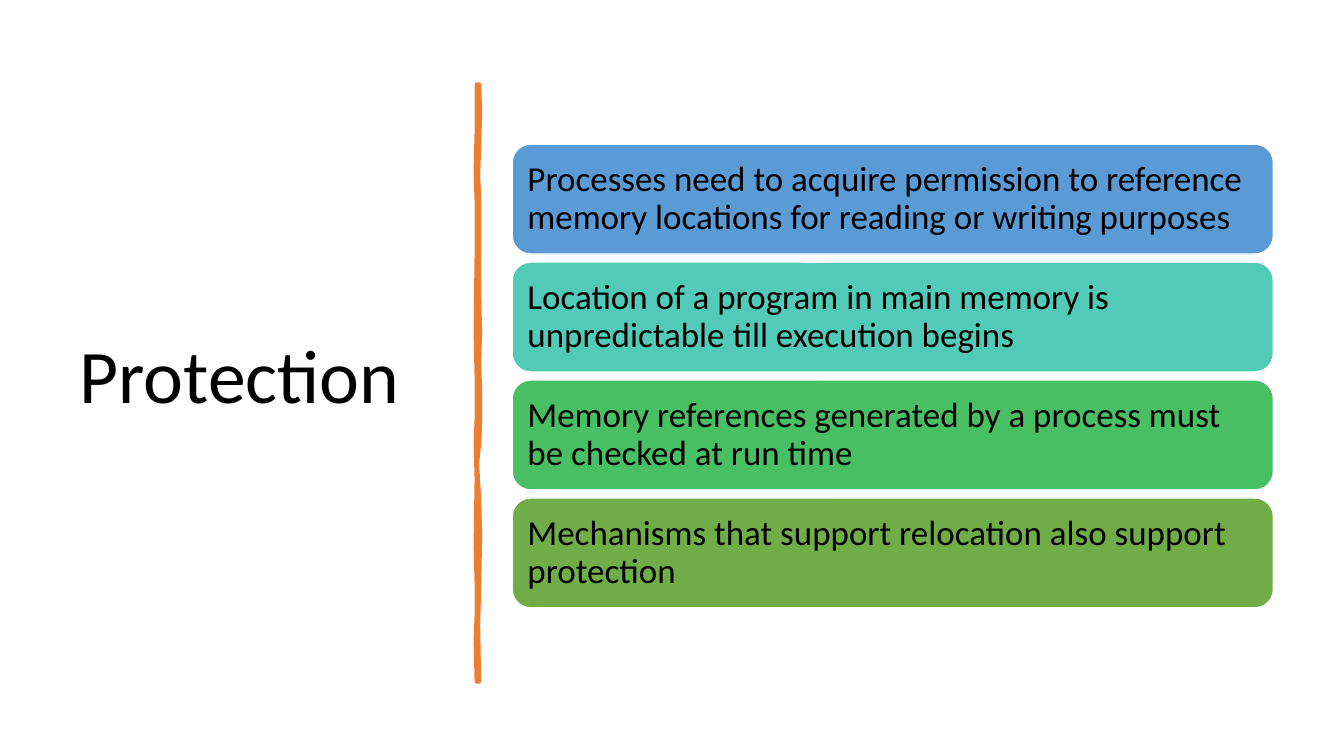
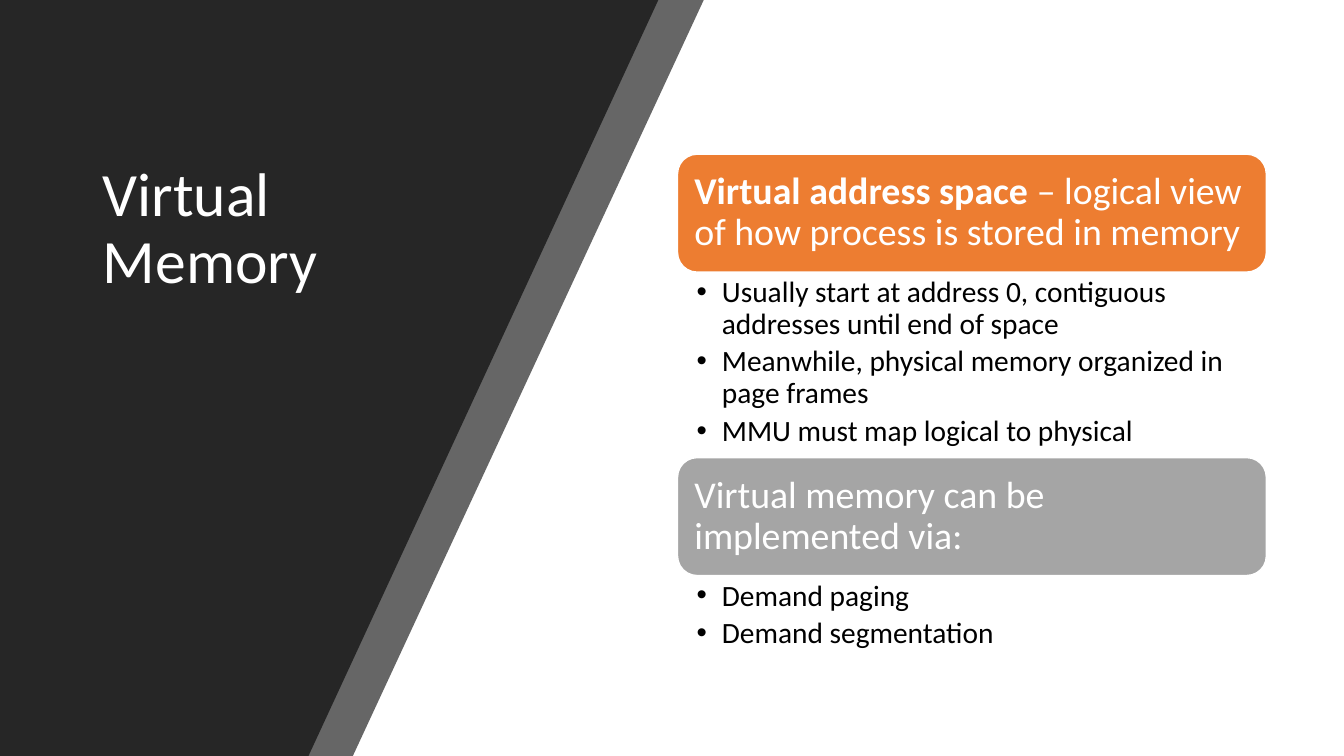
import pptx
import pptx.dml.color
import pptx.enum.shapes
import pptx.enum.text
import pptx.oxml
import pptx.oxml.ns
import pptx.util

Inches = pptx.util.Inches
Pt = pptx.util.Pt
RGBColor = pptx.dml.color.RGBColor
Anchor = pptx.enum.text.MSO_ANCHOR

FONT = "Calibri"
LINE_SPACING = 0.9
BLACK = RGBColor(0x00, 0x00, 0x00)
WHITE = RGBColor(0xFF, 0xFF, 0xFF)
ORANGE = RGBColor(0xED, 0x7D, 0x31)
GRAY = RGBColor(0xA5, 0xA5, 0xA5)
CHARCOAL = RGBColor(0x26, 0x26, 0x26)
BLUE = RGBColor(0x5B, 0x9B, 0xD5)
TEAL = RGBColor(0x52, 0xCA, 0xB8)
GREEN = RGBColor(0x49, 0xBF, 0x64)
OLIVE = RGBColor(0x70, 0xAD, 0x47)

TITLE_ONLY_LAYOUT = 5
TWO_CONTENT_LAYOUT = 3

PROTECTION_CARDS = [
    ("Processes need to acquire permission to reference memory locations "
     "for reading or writing purposes", BLUE),
    ("Location of a program in main memory is unpredictable till execution begins", TEAL),
    ("Memory references generated by a process must be checked at run time", GREEN),
    ("Mechanisms that support relocation also support protection", OLIVE),
]
ADDRESS_SPACE_POINTS = [
    "Usually start at address 0, contiguous addresses until end of space",
    "Meanwhile, physical memory organized in page frames",
    "MMU must map logical to physical",
]
IMPLEMENTATION_POINTS = ["Demand paging", "Demand segmentation"]

DIVIDER_RIGHT_EDGE = [
    (4.75, 0.84), (4.76, 1.1), (4.75, 1.46), (4.74, 1.75), (4.75, 1.95),
    (4.75, 2.94), (4.76, 3.3), (4.75, 3.56), (4.76, 3.9), (4.76, 4.2),
    (4.75, 4.4), (4.73, 4.6), (4.75, 4.95), (4.76, 5.3), (4.75, 5.84),
    (4.74, 6.2), (4.75, 6.76),
]
DIVIDER_LEFT_EDGE = [
    (4.73, 6.76), (4.72, 6.35), (4.73, 6.1), (4.73, 5.8), (4.72, 5.4),
    (4.73, 4.75), (4.72, 4.4), (4.73, 4.15), (4.73, 3.75), (4.72, 3.3),
    (4.73, 2.5), (4.73, 2.0), (4.72, 1.7), (4.73, 1.3), (4.73, 0.84),
]


def place(shape, left, top, width, height):
    shape.left, shape.top = Inches(left), Inches(top)
    shape.width, shape.height = Inches(width), Inches(height)


def style_paragraph(paragraph, size, color, space_after=0):
    paragraph.alignment = pptx.enum.text.PP_ALIGN.LEFT
    paragraph.line_spacing = LINE_SPACING
    paragraph.space_before = Pt(0)
    paragraph.space_after = Pt(space_after)
    for run in paragraph.runs:
        run.font.name = FONT
        run.font.size = Pt(size)
        run.font.color.rgb = color


def set_up_frame(frame, anchor, left, top, right, bottom):
    frame.word_wrap = True
    frame.auto_size = pptx.enum.text.MSO_AUTO_SIZE.NONE
    frame.vertical_anchor = anchor
    frame.margin_left, frame.margin_top = Inches(left), Inches(top)
    frame.margin_right, frame.margin_bottom = Inches(right), Inches(bottom)


def set_title(slide, text, box, size, color):
    title = slide.shapes.title
    place(title, *box)
    set_up_frame(title.text_frame, Anchor.MIDDLE, 0.1, 0.05, 0.1, 0.05)
    title.text_frame.text = text
    style_paragraph(title.text_frame.paragraphs[0], size, color)


def add_card(slide, text, box, fill, size, color, inset, bold_lead=""):
    """Add a rounded card whose text may open with bold words."""
    card = slide.shapes.add_shape(
        pptx.enum.shapes.MSO_SHAPE.ROUNDED_RECTANGLE, *map(Inches, box))
    card.shadow.inherit = False
    card.fill.solid()
    card.fill.fore_color.rgb = fill
    card.line.color.rgb = WHITE
    card.line.width = Pt(1)
    set_up_frame(card.text_frame, Anchor.MIDDLE, inset, inset, inset, inset)
    paragraph = card.text_frame.paragraphs[0]
    if bold_lead:
        lead = paragraph.add_run()
        lead.text = bold_lead
        lead.font.bold = True
    paragraph.add_run().text = text
    style_paragraph(paragraph, size, color)


def fill_bullets(placeholder, items, box):
    place(placeholder, *box)
    frame = placeholder.text_frame
    set_up_frame(frame, Anchor.TOP, 0.19, 0.04, 0.21, 0.04)
    frame.text = "\n".join(items)
    for paragraph in frame.paragraphs:
        properties = paragraph._p.get_or_add_pPr()
        properties.set("marL", str(Inches(0.25)))
        properties.set("indent", str(-Inches(0.25)))
        bullet = pptx.oxml.parse_xml(
            f'<a:buChar {pptx.oxml.ns.nsdecls("a")} char="•"/>')
        properties.append(bullet)
        style_paragraph(paragraph, 21, BLACK, space_after=4.2)


def add_outline(slide, points, color):
    """Add a filled polygon without a border, from points in inches."""
    start, *others = [(Inches(x), Inches(y)) for x, y in points]
    builder = slide.shapes.build_freeform(*start)
    builder.add_line_segments(others, close=True)
    outline = builder.convert_to_shape()
    outline.shadow.inherit = False
    outline.fill.solid()
    outline.fill.fore_color.rgb = color
    outline.line.fill.background()
    return outline


def add_slanted_panel(slide, top_width, bottom_width, opacity=100):
    """Add a dark panel behind the title, with a slanted right side."""
    panel = add_outline(
        slide, [(0, 0), (top_width, 0), (bottom_width, 7.5), (0, 7.5)], CHARCOAL)
    if opacity < 100:
        color = panel.element.spPr.find(".//" + pptx.oxml.ns.qn("a:srgbClr"))
        color.append(pptx.oxml.parse_xml(
            f'<a:alpha {pptx.oxml.ns.nsdecls("a")} val="{opacity * 1000}"/>'))
    slide.shapes.title.element.addprevious(panel.element)


def build_protection(presentation):
    slide = presentation.slides.add_slide(presentation.slide_layouts[TITLE_ONLY_LAYOUT])
    set_title(slide, "Protection", (0.69, 0.7, 3.74, 6.11), 54, BLACK)
    divider = add_outline(slide, DIVIDER_RIGHT_EDGE + DIVIDER_LEFT_EDGE, ORANGE)
    divider.line.color.rgb = ORANGE
    divider.line.width = Pt(3.25)
    for index, (text, fill) in enumerate(PROTECTION_CARDS):
        box = (5.08, 1.43 + index * 1.17, 7.55, 1.09)
        add_card(slide, text, box, fill, 25, BLACK, 0.1)


def build_virtual_memory(presentation):
    slide = presentation.slides.add_slide(presentation.slide_layouts[TWO_CONTENT_LAYOUT])
    add_slanted_panel(slide, 6.98, 3.5, opacity=70)
    add_slanted_panel(slide, 6.53, 3.06)
    set_title(slide, "Virtual Memory", (0.92, 0.48, 3.58, 3.6), 44, WHITE)
    left, width = 6.72, 5.84
    _, address_space, implementation = slide.placeholders
    add_card(slide, " – logical view of how process is stored in memory",
             (left, 1.53, width, 1.17), ORANGE, 27, WHITE, 0.11,
             bold_lead="Virtual address space")
    fill_bullets(address_space, ADDRESS_SPACE_POINTS, (left, 2.71, width, 1.83))
    add_card(slide, "Virtual memory can be implemented via:",
             (left, 4.54, width, 1.17), GRAY, 27, WHITE, 0.11)
    fill_bullets(implementation, IMPLEMENTATION_POINTS, (left, 5.72, width, 0.79))


def main():
    presentation = pptx.Presentation()
    presentation.slide_width = Inches(13.33)
    presentation.slide_height = Inches(7.5)
    build_protection(presentation)
    build_virtual_memory(presentation)
    presentation.save("out.pptx")


if __name__ == "__main__":
    main()
